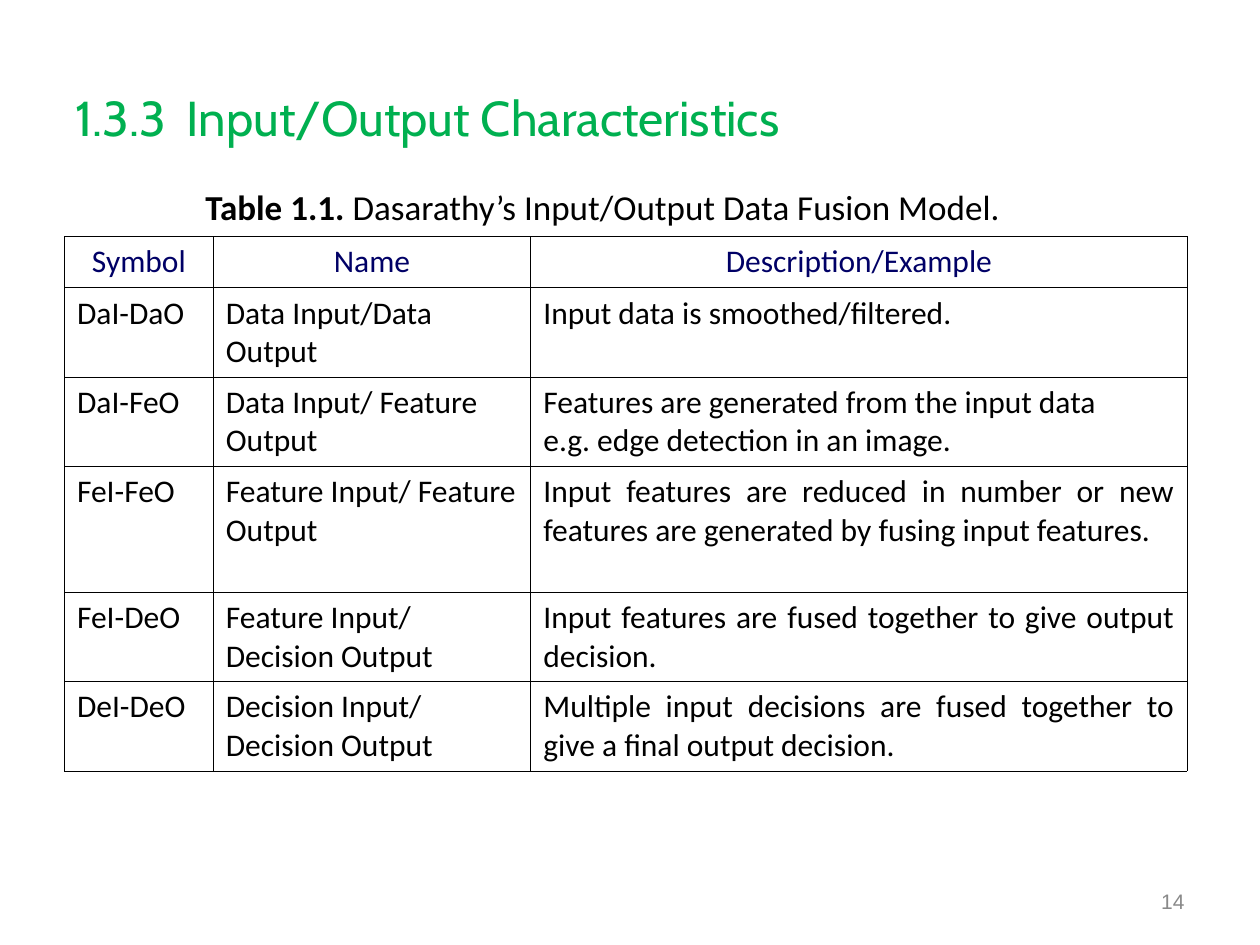
from lxml import etree
from pptx import Presentation
from pptx.dml.color import RGBColor
from pptx.enum.text import MSO_ANCHOR, PP_ALIGN
from pptx.oxml.ns import qn
from pptx.util import Cm, Pt

LEFT, CENTER, RIGHT, JUSTIFY = (
    PP_ALIGN.LEFT, PP_ALIGN.CENTER, PP_ALIGN.RIGHT, PP_ALIGN.JUSTIFY)
TOP, MIDDLE = MSO_ANCHOR.TOP, MSO_ANCHOR.MIDDLE

COLORS = {"title": "00B050", "header": "000066", "text": "000000",
          "number": "898989", "cell": "FFFFFF", "border": "000000"}

TITLE = "1.3.3\tInput/Output Characteristics"
TITLE_TAB = Cm(2.25)
CAPTION_LABEL = "Table 1.1. "
CAPTION = "Dasarathy’s Input/Output Data Fusion Model."
SLIDE_NUMBER = "14"

HEADER = ("Symbol", "Name", "Description/Example")
MODES = [
    ("DaI-DaO", "Data Input/Data\nOutput", "Input data is smoothed/filtered."),
    ("DaI-FeO", "Data Input/ Feature Output",
     "Features are generated from the input data\ne.g. edge detection in an image."),
    ("FeI-FeO", "Feature Input/ Feature\nOutput",
     "Input features are reduced in number or new features are generated "
     "by fusing input features."),
    ("FeI-DeO", "Feature Input/ Decision Output",
     "Input features are fused together to give output decision."),
    ("DeI-DeO", "Decision Input/ Decision Output",
     "Multiple input decisions are fused together to give a final output decision."),
]
COLUMN_WIDTHS = (3, 6.4, 13.23)
ROW_HEIGHTS = (1.03, 1.8, 1.8, 2.54, 1.8, 1.8)
TABLE_LEFT, TABLE_TOP = 1.3, 4.77

FORMATS = {
    "title": {"name": "Cabin", "size": Pt(28)},
    "number": {"name": "Arial", "size": Pt(12)},
    "text": {"name": "Calibri", "size": Pt(20)},
    "cell": {"name": "Calibri", "size": Pt(18)},
}


def set_format(font, style, color):
    for attribute, value in FORMATS[style].items():
        setattr(font, attribute, value)
    font.color.rgb = RGBColor.from_string(COLORS[color])


def add_text(slide, box, runs, style, alignment=LEFT, anchor=MIDDLE):
    """Add a text box; runs are (text, bold) pairs of one paragraph."""
    frame = slide.shapes.add_textbox(*(Cm(length) for length in box)).text_frame
    frame.word_wrap = True
    frame.vertical_anchor = anchor
    paragraph = frame.paragraphs[0]
    paragraph.alignment = alignment
    for text, bold in runs:
        run = paragraph.add_run()
        run.text = text
        set_format(run.font, style, style)
        run.font.bold = bold
    return paragraph


def add_tab_stop(paragraph, position):
    properties = paragraph._p.get_or_add_pPr()
    stops = etree.SubElement(properties, qn("a:tabLst"))
    etree.SubElement(stops, qn("a:tab"), pos=str(position), algn="l")


def set_borders(cell):
    properties = cell._tc.get_or_add_tcPr()
    for index, side in enumerate(("lnL", "lnR", "lnT", "lnB")):
        line = etree.Element(qn(f"a:{side}"), w=str(Pt(0.45)))
        fill = etree.SubElement(line, qn("a:solidFill"))
        etree.SubElement(fill, qn("a:srgbClr"), val=COLORS["border"])
        properties.insert(index, line)


def fill_cell(cell, text, color, alignment):
    cell.fill.solid()
    cell.fill.fore_color.rgb = RGBColor.from_string(COLORS["cell"])
    set_borders(cell)
    cell.text = text
    for paragraph in cell.text_frame.paragraphs:
        paragraph.alignment = alignment
        for run in paragraph.runs:
            set_format(run.font, "cell", color)
            run.font.bold = False


def add_mode_table(slide):
    rows = [HEADER] + MODES
    table = slide.shapes.add_table(
        len(rows), len(HEADER), Cm(TABLE_LEFT), Cm(TABLE_TOP),
        Cm(sum(COLUMN_WIDTHS)), Cm(sum(ROW_HEIGHTS))).table
    table.horz_banding = False
    for column, width in zip(table.columns, COLUMN_WIDTHS):
        column.width = Cm(width)
    for row, height in zip(table.rows, ROW_HEIGHTS):
        row.height = Cm(height)
    for row_index, row in enumerate(rows):
        for column_index, text in enumerate(row):
            wrapped_name = column_index == 1 and "\n" not in text
            if row_index == 0:
                color, alignment = "header", CENTER
            else:
                color, alignment = "text", LEFT if wrapped_name else JUSTIFY
            fill_cell(table.cell(row_index, column_index), text, color, alignment)


def main():
    presentation = Presentation()
    presentation.slide_width, presentation.slide_height = Cm(25.4), Cm(19.05)
    slide = presentation.slides.add_slide(presentation.slide_layouts[6])
    title = add_text(slide, (1.27, 0.76, 22.86, 3.18), [(TITLE, False)], "title")
    add_tab_stop(title, TITLE_TAB)
    add_text(slide, (18.2, 17.65, 5.93, 1.02), [(SLIDE_NUMBER, False)],
             "number", RIGHT)
    add_mode_table(slide)
    add_text(slide, (3.89, 3.61, 20.24, 1.11),
             [(CAPTION_LABEL, True), (CAPTION, False)], "text", anchor=TOP)
    presentation.save("out.pptx")


if __name__ == "__main__":
    main()
